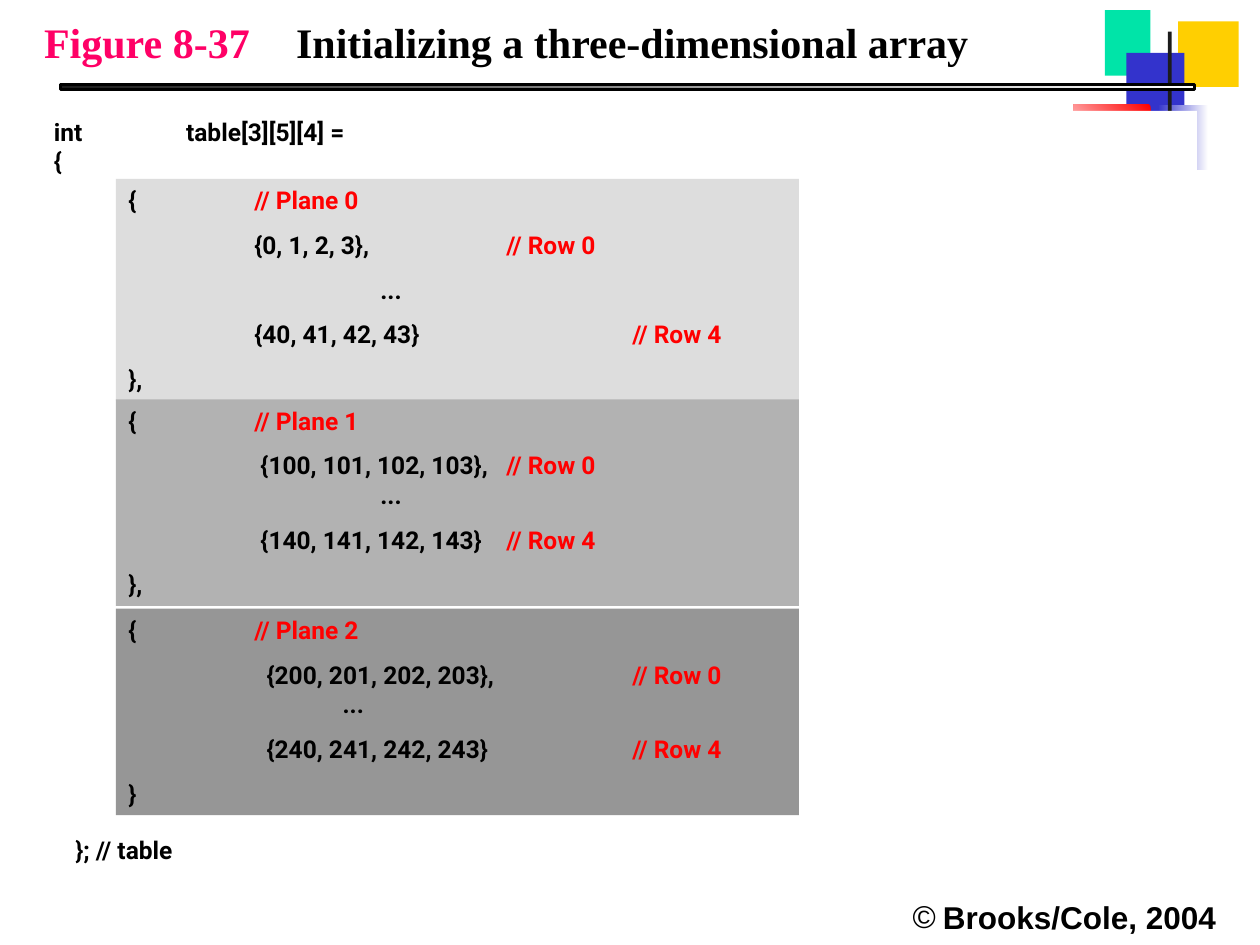
from dataclasses import dataclass
from typing import NamedTuple, Optional

from lxml.etree import SubElement
from pptx import Presentation
from pptx.dml.color import RGBColor
from pptx.enum.shapes import MSO_SHAPE
from pptx.enum.text import MSO_ANCHOR, MSO_AUTO_SIZE, PP_ALIGN
from pptx.oxml.ns import qn
from pptx.util import Inches, Pt


@dataclass(frozen=True)
class Theme:
    white: str = "FFFFFF"
    black: str = "000000"
    charcoal: str = "1C1C1C"
    pink: str = "FF0066"
    red: str = "FF0000"
    blue: str = "3333CC"
    green: str = "00E4A8"
    yellow: str = "FFCF01"
    title_font: str = "Times New Roman"
    code_font: str = "Roboto"
    footer_font: str = "Arial"
    title_size: int = 24
    code_size: int = 14
    footer_size: int = 18
    code_gap: float = 8.8


THEME = Theme()
INCH_TABS = (1, 2, 3, 4)


class Box(NamedTuple):
    left: float
    top: float
    width: float
    height: float


class Block(NamedTuple):
    box: Box
    fill: str
    color: str
    comment_color: str


class Decoration(NamedTuple):
    box: Box
    start: str
    end: Optional[str] = None
    angle: int = 0
    outlined: bool = False


class Plane(NamedTuple):
    top: float
    height: float
    fill: str
    body: tuple
    closing: str = "},"
    tabs: tuple = INCH_TABS


DECORATIONS = [
    Decoration(Box(9.35, 0.17, 0.48, 0.52), THEME.yellow),
    Decoration(Box(8.77, 0.08, 0.36, 0.52), THEME.green),
    Decoration(Box(8.94, 0.42, 0.46, 0.52), THEME.blue),
    Decoration(Box(9.19, 0.83, 0.4, 0.52), THEME.white, THEME.blue, 180),
    Decoration(Box(8.52, 0.83, 0.61, 0.46), THEME.red, THEME.white, 225),
    Decoration(Box(9.27, 0.25, 0.03, 1.15), THEME.charcoal),
    Decoration(Box(0.48, 0.67, 9, 0.04), THEME.white, THEME.charcoal, 180, True),
]

PLANES = [
    Plane(1.42, 1.76, "DDDDDD", (
        "\t{0, 1, 2, 3},\t\t// Row 0",
        "\t\t...",
        "\t{40, 41, 42, 43}\t\t// Row 4",
    )),
    Plane(3.17, 1.64, "B2B2B2", (
        "\t {100, 101, 102, 103},\t// Row 0\n\t\t...",
        "\t {140, 141, 142, 143}\t// Row 4",
    )),
    Plane(4.83, 1.64, "969696", (
        "\t  {200, 201, 202, 203},\t\t// Row 0\n\t\t...",
        "\t  {240, 241, 242, 243}\t\t// Row 4",
    ), "}", (1, 1.7, 3, 4)),
]


def place(shape, box: Box) -> None:
    shape.left, shape.top, shape.width, shape.height = map(Inches, box)


def add_rectangle(slide, box: Box):
    shape = slide.shapes.add_shape(MSO_SHAPE.RECTANGLE, *map(Inches, box))
    shape.shadow.inherit = False
    shape.line.fill.background()
    return shape


def fill_solid(shape, color: str) -> None:
    shape.fill.solid()
    shape.fill.fore_color.rgb = RGBColor.from_string(color)


def add_run(paragraph, text: str, font_name: str, size: float, color: str) -> None:
    run = paragraph.add_run()
    run.text = text
    run.font.name = font_name
    run.font.size = Pt(size)
    run.font.bold = True
    run.font.color.rgb = RGBColor.from_string(color)


def add_decoration(slide, decoration: Decoration) -> None:
    shape = add_rectangle(slide, decoration.box)
    if decoration.end is None:
        fill_solid(shape, decoration.start)
    else:
        shape.fill.gradient()
        shape.fill.gradient_angle = decoration.angle
        for stop, color in zip(shape.fill.gradient_stops, (decoration.start, decoration.end)):
            stop.color.rgb = RGBColor.from_string(color)
    if decoration.outlined:
        shape.line.color.rgb = RGBColor.from_string(THEME.black)
        shape.line.width = Pt(1.5)


def add_tabs(paragraph, positions: tuple) -> None:
    tab_list = SubElement(paragraph._p.get_or_add_pPr(), qn("a:tabLst"))
    for position in positions:
        SubElement(tab_list, qn("a:tab"), pos=str(Inches(position)), algn="l")


def add_code_line(paragraph, line: str, block: Block) -> None:
    code, marker, comment = line.partition("//")
    for text, color in ((code, block.color), (marker + comment, block.comment_color)):
        if text:
            add_run(paragraph, text, THEME.code_font, THEME.code_size, color)


def add_code_block(slide, block: Block, texts: list, tabs: tuple = INCH_TABS) -> None:
    shape = add_rectangle(slide, block.box)
    fill_solid(shape, block.fill)
    frame = shape.text_frame
    frame.word_wrap = True
    frame.vertical_anchor = MSO_ANCHOR.TOP
    for index, text in enumerate(texts):
        paragraph = frame.add_paragraph() if index else frame.paragraphs[0]
        paragraph.alignment = PP_ALIGN.LEFT
        if index:
            paragraph.space_before = Pt(THEME.code_gap)
        add_tabs(paragraph, tabs)
        for line_index, line in enumerate(text.split("\n")):
            if line_index:
                paragraph.add_line_break()
            add_code_line(paragraph, line, block)


def add_footer(slide) -> None:
    shape = slide.shapes.add_textbox(*map(Inches, Box(6.75, 7.08, 3, 0.4)))
    shape.text_frame.word_wrap = True
    paragraph = shape.text_frame.paragraphs[0]
    paragraph.alignment = PP_ALIGN.RIGHT
    properties = paragraph._p.get_or_add_pPr()
    properties.set("marL", str(Inches(0.24)))
    properties.set("indent", str(Inches(-0.24)))
    bullet_color = SubElement(properties, qn("a:buClr"))
    SubElement(bullet_color, qn("a:srgbClr"), val=THEME.black)
    SubElement(properties, qn("a:buFont"), typeface=THEME.footer_font)
    SubElement(properties, qn("a:buChar"), char="©")
    add_run(paragraph, "Brooks/Cole, 2004", THEME.footer_font, THEME.footer_size, THEME.black)


def set_title(slide) -> None:
    title = slide.shapes.title
    place(title, Box(0.25, 0.08, 7.54, 0.5))
    frame = title.text_frame
    frame.word_wrap = False
    frame.auto_size = MSO_AUTO_SIZE.NONE
    frame.vertical_anchor = MSO_ANCHOR.TOP
    paragraph = frame.paragraphs[0]
    paragraph.alignment = PP_ALIGN.LEFT
    add_tabs(paragraph, INCH_TABS)
    for text, color in (("Figure 8-37\t", THEME.pink),
                        ("Initializing a three-dimensional array", THEME.black)):
        add_run(paragraph, text, THEME.title_font, THEME.title_size, color)


def main() -> None:
    presentation = Presentation()
    presentation.slide_width, presentation.slide_height = Inches(10), Inches(7.5)
    slide = presentation.slides.add_slide(presentation.slide_layouts[5])
    set_title(slide)
    add_footer(slide)
    for decoration in DECORATIONS:
        add_decoration(slide, decoration)
    opening = Block(Box(0.33, 0.88, 9.17, 0.57), THEME.white, THEME.black, THEME.black)
    add_code_block(slide, opening, ["int\t table[3][5][4] =\n{"])
    for number, plane in enumerate(PLANES):
        block = Block(Box(0.92, plane.top, 5.42, plane.height), plane.fill, THEME.black, THEME.red)
        texts = [f"{{\t// Plane {number}", *plane.body, plane.closing]
        add_code_block(slide, block, texts, plane.tabs)
    closing = Block(Box(0.5, 6.58, 9.17, 0.34), THEME.white, THEME.black, THEME.black)
    add_code_block(slide, closing, ["}; // table"])
    presentation.save("out.pptx")


if __name__ == "__main__":
    main()
